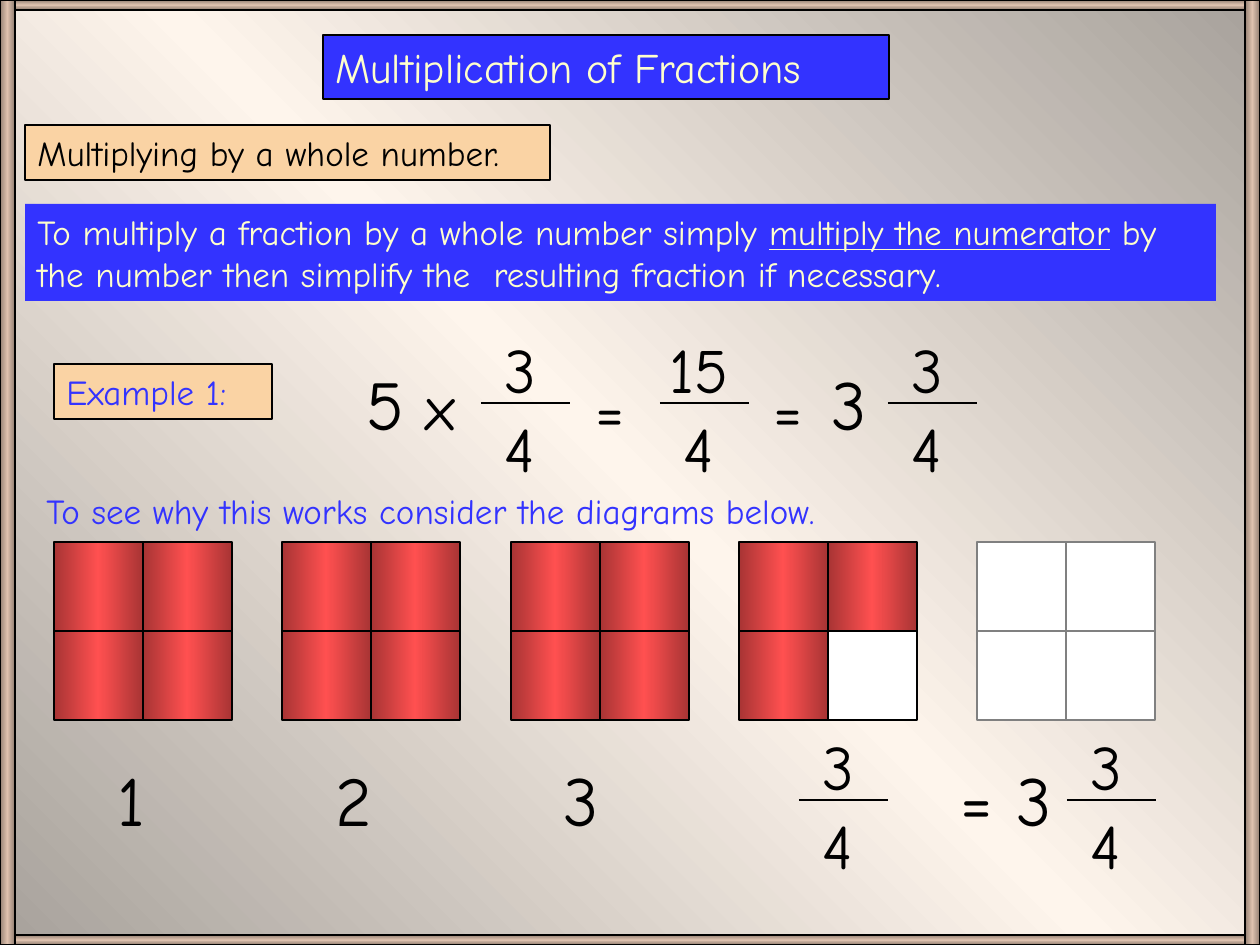
from copy import deepcopy

from lxml import etree
from pptx import Presentation
from pptx.dml.color import RGBColor
from pptx.enum.shapes import MSO_CONNECTOR, MSO_SHAPE
from pptx.enum.text import MSO_ANCHOR, MSO_AUTO_SIZE, PP_ALIGN
from pptx.oxml.ns import qn
from pptx.util import Pt

PX = 914400 / 126  # EMU in one px
W, H = 1260, 945
FONT = "Comic Neue"
RECT = MSO_SHAPE.RECTANGLE
STRAIGHT = MSO_CONNECTOR.STRAIGHT
TOP = MSO_ANCHOR.TOP
GROW = MSO_AUTO_SIZE.SHAPE_TO_FIT_TEXT
LEFT, CENTER = PP_ALIGN.LEFT, PP_ALIGN.CENTER

BLACK = RGBColor(0x00, 0x00, 0x00)
WHITE = RGBColor(0xFF, 0xFF, 0xFF)
GREY = RGBColor(0x80, 0x80, 0x80)
BLUE = RGBColor(0x33, 0x33, 0xFF)
CREAM = RGBColor(0xFF, 0xFF, 0xCC)
PEACH = RGBColor(0xFA, 0xD3, 0xA4)
BACKDROP = (RGBColor(0xA7, 0xA1, 0x9B), RGBColor(0xFE, 0xF5, 0xEC))
RED = (RGBColor(0xA8, 0x34, 0x34), RGBColor(0xFF, 0x50, 0x50))
WOOD = (RGBColor(0x92, 0x7F, 0x72), RGBColor(0xDE, 0xC1, 0xAE))


def emu(*lengths):
    return [round(n * PX) for n in lengths]


def set_gradient(fill, colors, angle):
    """Edge colour, middle colour, edge colour again."""
    edge, middle = colors
    fill.gradient()
    fill.gradient_angle = angle
    first = fill.gradient_stops[0]._gs
    first.addnext(deepcopy(first))
    stops = zip(fill.gradient_stops, (0, 0.5, 1), (edge, middle, edge))
    for stop, position, color in stops:
        stop.position = position
        stop.color.rgb = color


def add_rect(slide, box, fill, line=BLACK, angle=0):
    """Fill is one colour, or an (edge, middle) pair for a gradient."""
    sp = slide.shapes.add_shape(RECT, *emu(*box))
    sp.shadow.inherit = False
    if isinstance(fill, RGBColor):
        sp.fill.solid()
        sp.fill.fore_color.rgb = fill
    else:
        set_gradient(sp.fill, fill, angle)
    if line is None:
        sp.line.fill.background()
    else:
        sp.line.color.rgb = line
        sp.line.width = Pt(0.75)
    return sp


def write(sp, parts, size, color, align=LEFT):
    tf = sp.text_frame
    tf.word_wrap = True
    tf.auto_size = GROW
    tf.vertical_anchor = TOP
    p = tf.paragraphs[0]
    p.alignment = align
    for part in parts:
        r = p.add_run()
        r.text = part
        r.font.name = FONT
        r.font.size = Pt(size)
        r.font.color.rgb = color
    return p.runs


def add_label(slide, box, text, size, color=BLACK, align=LEFT):
    sp = slide.shapes.add_textbox(*emu(*box))
    return write(sp, [text], size, color, align)


def add_panel(slide, box, parts, size, color, fill, line=BLACK):
    return write(add_rect(slide, box, fill, line), parts, size, color)


def add_fraction(slide, x, y, top, bottom):
    add_label(slide, (x, y, 118, 88), top, 36, align=CENTER)
    add_label(slide, (x, y + 79, 118, 88), bottom, 36, align=CENTER)
    bar = slide.shapes.add_connector(
        STRAIGHT, *emu(x + 20, y + 79, x + 109, y + 79))
    bar.line.color.rgb = BLACK
    bar.line.width = Pt(0.75)
    etree.SubElement(bar._element.spPr, qn("a:effectLst"))


def add_quarters(slide, x, y, shaded, line=BLACK):
    """A square cut in four; the first cells are shaded."""
    side = 89
    for i in range(4):
        row, col = divmod(i, 2)
        # The lower left cell is shaded before the lower right one
        fill = RED if i < shaded else WHITE
        add_rect(slide, (x + col * side, y + row * side, side, side), fill, line)


def add_frame(slide):
    for y in (0, H - 10):
        add_rect(slide, (0, y, W, 10), WOOD, angle=90)
    for x in (0, W - 15):
        add_rect(slide, (x, 0, 15, H), WOOD)


def add_heading(slide):
    add_panel(slide, (323, 35, 566, 64), ["Multiplication of Fractions"],
              24, CREAM, BLUE)
    add_panel(slide, (25, 125, 525, 55), ["Multiplying by a whole number."],
              20, BLACK, PEACH)
    rule = add_panel(
        slide, (25, 204, 1191, 97),
        ["To multiply a fraction by a whole number simply ",
         "multiply the numerator",
         " by the number then simplify the  resulting fraction if necessary."],
        20, CREAM, BLUE, None)
    rule[1].font.underline = True


def add_example(slide, x, y):
    add_panel(slide, (x, y + 40, 218, 55), ["Example 1:"], 20, BLUE, PEACH)
    # 5 x 3/4 = 15/4 = 3 3/4
    factor = slide.shapes.add_textbox(*emu(x + 258, y + 30, 198, 97))
    runs = write(factor, ["5", " x"], 40, BLACK, CENTER)
    runs[1].font.size = Pt(36)
    for dx, top in ((407, "3"), (586, "15"), (814, "3")):
        add_fraction(slide, x + dx, y, top, "4")
    for dx in (487, 665):
        add_label(slide, (x + dx, y + 40, 139, 88), "=", 36, align=CENTER)
    add_label(slide, (x + 696, y + 30, 198, 97), "3", 40, align=CENTER)


def add_diagrams(slide, x, y):
    add_label(slide, (x - 20, y - 59, 898, 55),
              "To see why this works consider the diagrams below.", 20, BLUE)
    for dx, shaded, line in ((0, 4, BLACK), (228, 4, BLACK), (457, 4, BLACK),
                             (685, 3, BLACK), (923, 0, GREY)):
        add_quarters(slide, x + dx, y, shaded, line)
    # Running count under the squares
    for dx, count in ((51, "1"), (269, "2"), (497, "3")):
        add_label(slide, (x + dx, y + 208, 79, 97), count, 40)
    add_fraction(slide, x + 725, y + 179, "3", "4")
    add_label(slide, (x + 853, y + 208, 198, 97), "= 3", 40, align=CENTER)
    add_fraction(slide, x + 993, y + 179, "3", "4")


def main():
    prs = Presentation()
    prs.slide_width, prs.slide_height = emu(W, H)
    slide = prs.slides.add_slide(prs.slide_layouts[6])
    set_gradient(slide.background.fill, BACKDROP, 225)
    add_heading(slide)
    add_diagrams(slide, 54, 542)
    add_frame(slide)
    add_example(slide, 54, 324)
    prs.save("out.pptx")


if __name__ == "__main__":
    main()
